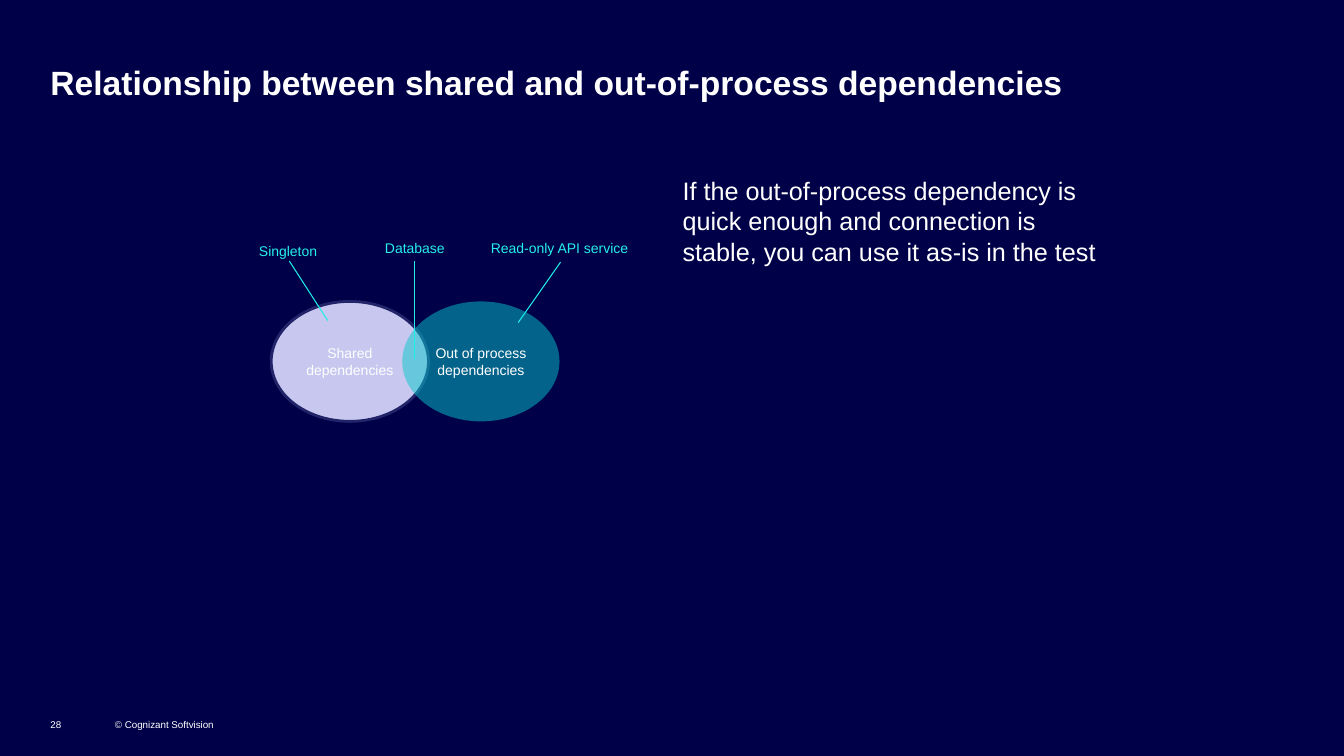
"""Build a slide on how shared and out-of-process dependencies overlap."""
import pptx
import pptx.util
import pptx.dml.color
import pptx.enum.shapes
import pptx.enum.text
import pptx.oxml
import pptx.oxml.ns
from lxml import etree

Inches = pptx.util.Inches
RGBColor = pptx.dml.color.RGBColor
Anchor = pptx.enum.text.MSO_ANCHOR
Align = pptx.enum.text.PP_ALIGN

NAVY = RGBColor(0x00, 0x00, 0x48)
WHITE = RGBColor(0xFF, 0xFF, 0xFF)
LAVENDER = RGBColor(0xC7, 0xC7, 0xEF)
INDIGO = RGBColor(0x22, 0x24, 0x69)
TEAL = RGBColor(0x06, 0xC7, 0xCC)
LINE_CYAN = RGBColor(0x20, 0xEF, 0xE8)
LABEL_CYAN = RGBColor(0x26, 0xEF, 0xE9)


def place(box, left, top, width, height):
    box.left, box.top = Inches(left), Inches(top)
    box.width, box.height = Inches(width), Inches(height)


def write(box, text, size, color=WHITE, align=Align.LEFT, anchor=Anchor.TOP,
          bold=False, inset=True, wrap=True):
    frame = box.text_frame
    frame.word_wrap = wrap
    frame.auto_size = pptx.enum.text.MSO_AUTO_SIZE.NONE
    frame.vertical_anchor = anchor
    frame.margin_left = frame.margin_right = Inches(0.1 if inset else 0)
    frame.margin_top = frame.margin_bottom = Inches(0.05 if inset else 0)
    para = frame.paragraphs[0]
    para.alignment = align
    para.space_before = pptx.util.Pt(0)
    span = para.add_run()
    span.text = text
    span.font.name = "Arial"
    span.font.size = pptx.util.Pt(size)
    span.font.bold = bold
    span.font.color.rgb = color


deck = pptx.Presentation()
deck.slide_width, deck.slide_height = Inches(13.33), Inches(7.5)
page = deck.slides.add_slide(deck.slide_layouts[1])
page.background.fill.solid()
page.background.fill.fore_color.rgb = NAVY

title = page.shapes.title
place(title, 0.5, 0.61, 11.82, 0.4)
write(title, "Relationship between shared and out-of-process dependencies", 24,
      bold=True, inset=False)

for text, left, width in [("© Cognizant Softvision", 1.14, 1.31), ("28", 0.5, 0.39)]:
    footer = page.shapes.add_textbox(Inches(left), Inches(6.92), Inches(width), Inches(0.33))
    write(footer, text, 7, anchor=Anchor.BOTTOM, inset=False)

advice = page.placeholders[1]
place(advice, 6.67, 1.69, 4.4, 4.11)
advice_properties = advice.text_frame.paragraphs[0]._p.get_or_add_pPr()
advice_properties.set("marL", "0")
advice_properties.set("indent", "0")
etree.SubElement(advice_properties, pptx.oxml.ns.qn("a:buNone"))
write(advice, "If the out-of-process dependency is quick enough and connection is "
      "stable, you can use it as-is in the test", 18)

ellipses = []
for text, left, color in [("Shared dependencies", 2.69, LAVENDER),
                          ("Out of process dependencies", 3.99, TEAL)]:
    ellipse = page.shapes.add_shape(pptx.enum.shapes.MSO_SHAPE.OVAL, Inches(left),
                                    Inches(2.99), Inches(1.56), Inches(1.19))
    ellipse.shadow.inherit = False
    ellipse.fill.solid()
    ellipse.fill.fore_color.rgb = color
    write(ellipse, text, 10, align=Align.CENTER, anchor=Anchor.MIDDLE)
    ellipses.append(ellipse)

shared, out_of_process = ellipses
shared.line.color.rgb = INDIGO
shared.line.width = pptx.util.Pt(2)
out_of_process.line.fill.background()
teal_fill = out_of_process._element.spPr.find(".//" + pptx.oxml.ns.qn("a:srgbClr"))
etree.SubElement(teal_fill, pptx.oxml.ns.qn("a:alpha"), val="50000")

examples = [
    ("Singleton", (2.47, 2.36, 0.78), (2.87, 2.59, 3.25, 3.18)),
    ("Database", (3.72, 2.33, 0.8), (4.11, 2.59, 4.11, 3.56)),
    ("Read-only API service", (4.77, 2.33, 1.58), (5.56, 2.6, 5.14, 3.2)),
]
for text, (left, top, width), ends in examples:
    pointer = page.shapes.add_connector(pptx.enum.shapes.MSO_CONNECTOR.STRAIGHT,
                                        *[Inches(end) for end in ends])
    pointer.line.color.rgb = LINE_CYAN
    pointer.line.width = pptx.util.Pt(0.75)
    etree.SubElement(pointer._element.spPr, pptx.oxml.ns.qn("a:effectLst"))
    label = page.shapes.add_textbox(Inches(left), Inches(top), Inches(width), Inches(0.27))
    write(label, text, 10, LABEL_CYAN, wrap=False)

deck.save("out.pptx")
